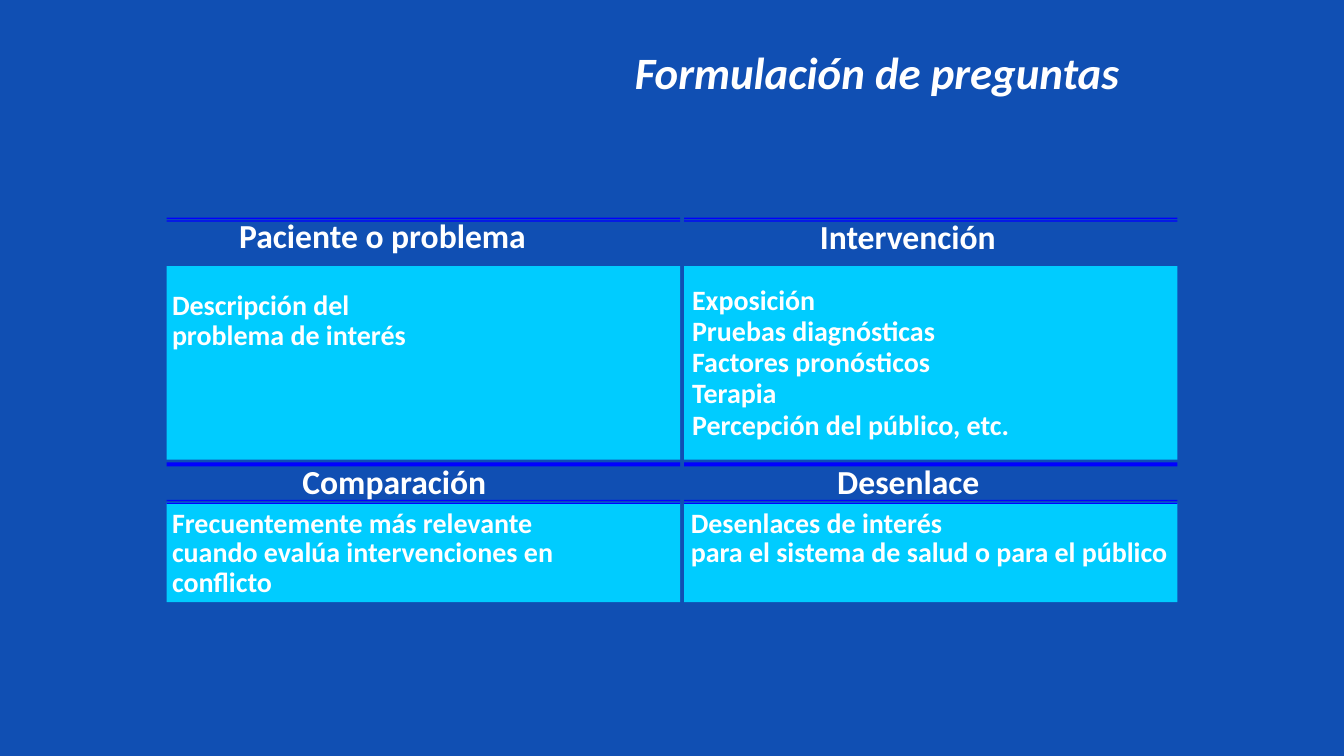
from pptx import Presentation
from pptx.dml.color import RGBColor
from pptx.enum.shapes import MSO_SHAPE
from pptx.enum.text import MSO_AUTO_SIZE, PP_ALIGN
from pptx.util import Inches, Pt

RECT = MSO_SHAPE.RECTANGLE
GROW = MSO_AUTO_SIZE.SHAPE_TO_FIT_TEXT
CENTER = PP_ALIGN.CENTER

WIDE = 10
HIGH = WIDE * 9 / 16
INK = {"back": "104FB3", "cell": "00CCFF", "rule": "0000FF", "text": "FFFFFF"}
FONT = "Calibri"
TITLE = "Formulación de preguntas"

COLS = [(1.24, 3.82), (5.09, 3.67)]
ROWS = [(1.98, 1.44), (3.74, 0.74)]
RULES = [(1.62, 0.01), (1.64, 0.01), (3.44, 0.03), (3.72, 0.01), (3.74, 0.01)]

HEADS = [
    ("Paciente o problema", 1.78, 1.6, 2.15),
    ("Intervención", 6.1, 1.61, 1.32),
    ("Comparación", 2.25, 3.43, 1.38),
    ("Desenlace", 6.23, 3.43, 1.06),
]
LISTS = [
    (1.28, 2.14, 2.36, [("Descripción del", 1.38),
                        ("problema de interés", 1.75)]),
    (5.15, 2.1, 3.03, [("Exposición", 0.93),
                       ("Pruebas diagnósticas", 1.83),
                       ("Factores pronósticos", 1.81),
                       ("Terapia", 0.63),
                       ("Percepción del público, etc.", 2.37)]),
    (1.28, 3.76, 4.2, [("Frecuentemente más relevante", 2.75),
                       ("cuando evalúa intervenciones en", 2.91),
                       ("conflicto", 0.75)]),
    (5.14, 3.76, 3.98, [("Desenlaces de interés", 1.93),
                        ("para el sistema de salud o para el público", 3.57)]),
]


def tint(name):
    return RGBColor.from_string(INK[name])


def bar(x, y, w, h, name):
    shape = group.shapes.add_shape(RECT, Inches(x), Inches(y), Inches(w), Inches(h))
    shape.shadow.inherit = False
    shape.fill.solid()
    shape.fill.fore_color.rgb = tint(name)
    shape.line.fill.background()


def write(home, text, x, y, w, h, size):
    box = home.add_textbox(Inches(x), Inches(y), Inches(w), Inches(h))
    frame = box.text_frame
    frame.text = text
    para = frame.paragraphs[0]
    para.font.name = FONT
    para.font.size = Pt(size)
    para.font.bold = True
    para.font.color.rgb = tint("text")
    return frame, para


def label(text, x, y, w, h, size):
    frame, _ = write(group.shapes, text, x, y, w, h, size)
    frame.margin_left = frame.margin_right = 0
    frame.margin_top = frame.margin_bottom = 0
    frame.word_wrap = False
    frame.auto_size = GROW


deck = Presentation()
deck.slide_width, deck.slide_height = Inches(WIDE), Inches(HIGH)
slide = deck.slides.add_slide(deck.slide_layouts[6])
slide.background.fill.solid()
slide.background.fill.fore_color.rgb = tint("back")

frame, para = write(slide.shapes, TITLE, 3.15, 0.33, 6.75, 0.7, 24)
frame.word_wrap = True
para.alignment = CENTER
para.line_spacing = 0.9
para.font.italic = True

group = slide.shapes.add_group_shape()
for y, h in ROWS:
    for x, w in COLS:
        bar(x, y, w, h, "cell")

for text, x, y, w in HEADS:
    label(text, x, y, w, 0.3, 18)
for x, top, last, lines in LISTS:
    pitch = (last - top) / (len(lines) - 1)
    for i, (text, w) in enumerate(lines):
        label(text, x, top + i * pitch, w, 0.25, 15)

for x, w in COLS:
    for y, h in RULES:
        bar(x, y, w, h, "rule")

deck.save("out.pptx")
